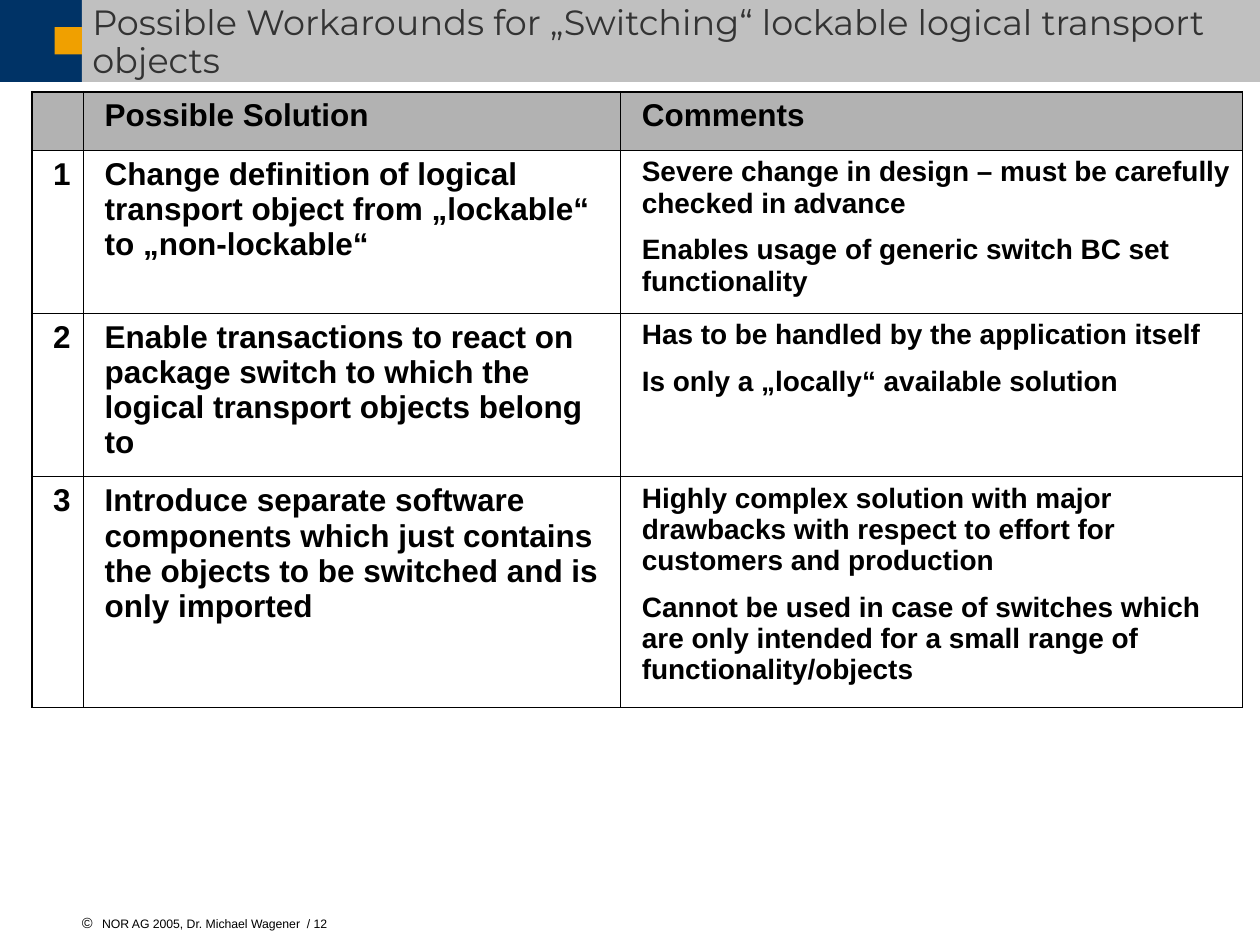
from lxml import etree
from pptx import Presentation
from pptx.dml.color import RGBColor
from pptx.enum import shapes, text
from pptx.oxml import parse_xml
from pptx.oxml.ns import nsdecls, qn
from pptx.util import Cm, Pt

NAVY = RGBColor(0x00, 0x33, 0x66)
SILVER = RGBColor(0xC0, 0xC0, 0xC0)
AMBER = RGBColor(0xF0, 0xA0, 0x00)
HEADER_GRAY = RGBColor(0xB2, 0xB2, 0xB2)
TITLE_GRAY = RGBColor(0x33, 0x33, 0x33)
BLACK = RGBColor(0x00, 0x00, 0x00)

THIN, THICK = 0.45, 1.08
COL_WIDTHS = (1.04, 10.83, 12.54)
ROW_HEIGHTS = (1.18, 3.28, 3.3, 4.65)
ROWS = [
    ("", "Possible Solution", ["Comments"]),
    ("1", "Change definition of logical transport object from „lockable“ to „non-lockable“",
     ["Severe change in design – must be carefully checked in advance",
      "Enables usage of generic switch BC set functionality"]),
    ("2", "Enable transactions to react on package switch to which the "
          "logical transport objects belong to",
     ["Has to be handled by the application itself",
      "Is only a „locally“ available solution"]),
    ("3", "Introduce separate software components which just contains "
          "the objects to be switched and is only imported",
     ["Highly complex solution with major drawbacks with respect to effort "
      "for customers and production",
      "Cannot be used in case of switches which are only intended for "
      "a small range of functionality/objects"]),
]


def add_run(p, words, font, size, color, bold=False):
    r = p.add_run()
    r.text = words
    r.font.name = font
    r.font.size = Pt(size)
    r.font.bold = bold
    r.font.color.rgb = color


def set_indent(p, left, first=0):
    """Set the left margin and first-line indent in centimetres."""
    pPr = p._p.get_or_add_pPr()
    pPr.set("marL", str(Cm(left)))
    pPr.set("indent", str(Cm(first)))


def prepare_frame(tf):
    tf.margin_left = tf.margin_right = tf.margin_top = tf.margin_bottom = 0
    tf.word_wrap = True
    tf.auto_size = text.MSO_AUTO_SIZE.NONE
    tf.vertical_anchor = text.MSO_ANCHOR.MIDDLE


def add_block(slide, left, top, width, height, color):
    sp = slide.shapes.add_shape(shapes.MSO_SHAPE.RECTANGLE,
                                Cm(left), Cm(top), Cm(width), Cm(height))
    sp.shadow.inherit = False
    sp.fill.solid()
    sp.fill.fore_color.rgb = color
    sp.line.fill.background()


def add_header(slide, left, top, width, height):
    """Draw the coloured band and put the slide title on it."""
    accent = height / 3
    add_block(slide, left, top, height, height, NAVY)
    add_block(slide, left + height, top, width - height, height, SILVER)
    add_block(slide, left + height - accent, top + accent, accent, accent, AMBER)

    title = slide.shapes.title
    title.element.getparent().append(title.element)  # in front of the band
    title.left, title.top = Cm(left + height + 0.03), Cm(top + 0.33)
    title.width, title.height = Cm(23.19), Cm(1.07)
    prepare_frame(title.text_frame)
    p = title.text_frame.paragraphs[0]
    p.alignment = text.PP_ALIGN.LEFT
    p.line_spacing = 0.9
    set_indent(p, 0.18)
    add_run(p, "Possible Workarounds for „Switching“ lockable logical transport objects",
            "Montserrat", 20, TITLE_GRAY)


def set_borders(cell, widths):
    """Draw the left, right, top and bottom borders, in that order."""
    tcPr = cell._tc.get_or_add_tcPr()
    for side, width in zip("LRTB", widths):
        tcPr.append(parse_xml(
            f'<a:ln{side} {nsdecls("a")} w="{Pt(width)}"><a:solidFill>'
            f'<a:srgbClr val="{BLACK}"/></a:solidFill></a:ln{side}>'))


def fill_cell(cell, is_header):
    if not is_header:
        cell.fill.background()
        return
    cell.fill.solid()
    cell.fill.fore_color.rgb = HEADER_GRAY
    color = cell._tc.tcPr.find(".//" + qn("a:srgbClr"))
    etree.SubElement(color, qn("a:alpha")).set("val", "50000")


def write_cell(cell, paragraphs, size, space_before):
    cell.margin_left = cell.margin_right = Cm(0.25)
    cell.margin_top = cell.margin_bottom = Cm(0.13)
    tf = cell.text_frame
    for i, words in enumerate(paragraphs):
        p = tf.add_paragraph() if i else tf.paragraphs[0]
        p.space_before = Pt(space_before)
        set_indent(p, 0.18)
        if words:
            add_run(p, words, "Arial", size, BLACK, bold=True)


def add_solutions_table(slide, left, top):
    last_row, last_col = len(ROWS) - 1, len(COL_WIDTHS) - 1
    frame = slide.shapes.add_table(len(ROWS), len(COL_WIDTHS), Cm(left), Cm(top),
                                   Cm(sum(COL_WIDTHS)), Cm(sum(ROW_HEIGHTS)))
    table = frame.table
    table.first_row = table.horz_banding = False
    for column, width in zip(table.columns, COL_WIDTHS):
        column.width = Cm(width)
    for row, height in zip(table.rows, ROW_HEIGHTS):
        row.height = Cm(height)

    for i, (number, solution, comments) in enumerate(ROWS):
        for j, paragraphs in enumerate(([number], [solution], comments)):
            cell = table.cell(i, j)
            is_comment = i > 0 and j == last_col
            write_cell(cell, paragraphs, 16 if is_comment else 18,
                       9 if is_comment else 16.9)
            outer = (j == 0, j == last_col, i == 0, i == last_row)
            set_borders(cell, [THICK if edge else THIN for edge in outer])
            fill_cell(cell, i == 0)


def add_footer(slide, left, top, width, height):
    box = slide.shapes.add_textbox(Cm(left), Cm(top), Cm(width), Cm(height))
    prepare_frame(box.text_frame)
    p = box.text_frame.paragraphs[0]
    p.line_spacing = 0.9
    set_indent(p, 0.41, -0.41)
    pPr = p._p.get_or_add_pPr()
    for bullet in (f'<a:buClr {nsdecls("a")}><a:srgbClr val="{BLACK}"/></a:buClr>',
                   f'<a:buSzPct {nsdecls("a")} val="120000"/>',
                   f'<a:buFont {nsdecls("a")} typeface="Arial"/>',
                   f'<a:buChar {nsdecls("a")} char="©"/>'):
        pPr.append(parse_xml(bullet))
    add_run(p, "NOR AG 2005, Dr. Michael Wagener  / 12", "Arial", 7, BLACK)


def main():
    prs = Presentation()
    prs.slide_width, prs.slide_height = Cm(25.4), Cm(19.05)
    slide = prs.slides.add_slide(prs.slide_layouts.get_by_name("Title Only"))
    add_header(slide, 0, 0, 25.4, 1.65)
    add_solutions_table(slide, 0.64, 1.85)
    add_footer(slide, 1.65, 18.49, 9.93, 0.28)
    prs.save("out.pptx")


if __name__ == "__main__":
    main()
